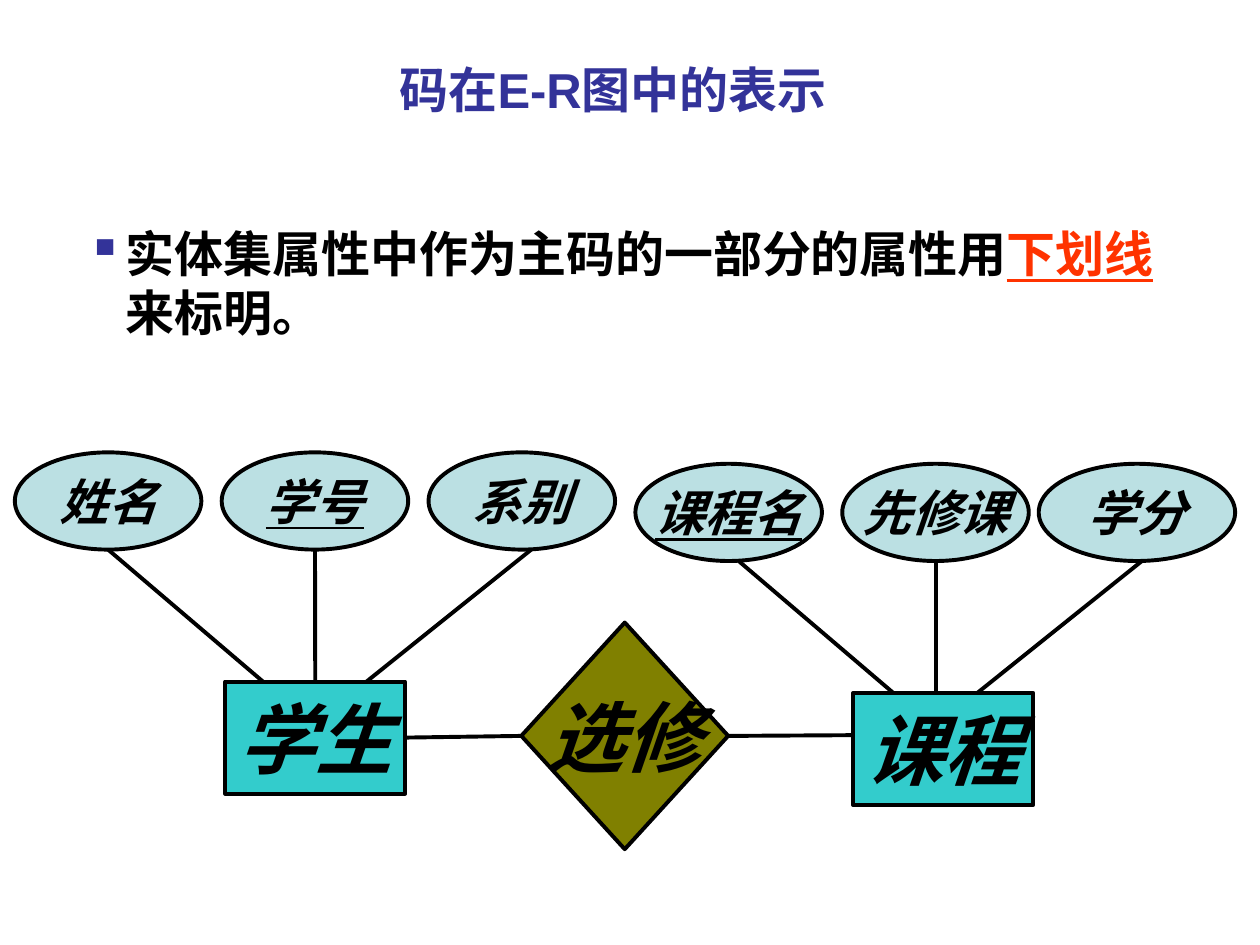
import pptx
import pptx.dml.color
import pptx.enum.shapes
import pptx.enum.text
import pptx.util
from lxml import etree
from pptx.oxml.ns import qn

Cm = pptx.util.Cm
Pt = pptx.util.Pt
RGBColor = pptx.dml.color.RGBColor
Shape = pptx.enum.shapes.MSO_SHAPE
Align = pptx.enum.text.PP_ALIGN

INDIGO = RGBColor(0x33, 0x33, 0x99)
BLACK = RGBColor(0, 0, 0)
RED = RGBColor(0xFF, 0x33, 0)
TEAL = RGBColor(0x33, 0xCC, 0xCC)
OLIVE = RGBColor(0x80, 0x80, 0)
PALE_BLUE = RGBColor(0xBB, 0xE0, 0xE3)

ATTRIBUTE_WIDTH, ATTRIBUTE_HEIGHT, ATTRIBUTE_PITCH = 3.76, 1.96, 4.17
ENTITY_WIDTH, ENTITY_HEIGHT, ENTITY_TOP = 3.63, 2.26, 4.62


def style_run(run, size, color, italic=False, underline=False):
    """Set the bold Arial look of a run."""
    run.font.name = "Arial"
    run.font.size = Pt(size)
    run.font.bold = True
    run.font.italic = italic
    run.font.underline = underline
    run.font.color.rgb = color


def add_text_frame(slide, left, top, width, height):
    """Add a wrapping text box and return its frame."""
    frame = slide.shapes.add_textbox(Cm(left), Cm(top), Cm(width), Cm(height)).text_frame
    frame.word_wrap = True
    return frame


def add_title(slide, left, top, width, height):
    """Place the centred slide title."""
    title = add_text_frame(slide, left, top, width, height).paragraphs[0]
    title.text = "码在E-R图中的表示"
    title.alignment = Align.CENTER
    style_run(title.runs[0], 28, INDIGO)


def add_rule(slide, left, top, width, height):
    """Place the bulleted rule about key attributes."""
    rule = add_text_frame(slide, left, top, width, height).paragraphs[0]
    properties = rule._p.get_or_add_pPr()
    properties.set("marL", str(Cm(2.06)))
    properties.set("indent", str(Cm(-0.79)))
    bullet_color = etree.SubElement(properties, qn("a:buClr"))
    etree.SubElement(bullet_color, qn("a:srgbClr"), val=str(INDIGO))
    etree.SubElement(properties, qn("a:buChar"), char="▪")
    for words, color, underline in (
        ("实体集属性中作为主码的一部分的属性用", BLACK, False),
        ("下划线", RED, True),
        ("来标明。", BLACK, False),
    ):
        run = rule.add_run()
        run.text = words
        style_run(run, 28, color, underline=underline)


def add_node(slide, kind, left, top, width, height, label, fill, size, is_key=False):
    """Add one labelled node of the diagram."""
    node = slide.shapes.add_shape(kind, Cm(left), Cm(top), Cm(width), Cm(height))
    node.shadow.inherit = False
    node.fill.solid()
    node.fill.fore_color.rgb = fill
    node.line.color.rgb = BLACK
    node.line.width = Pt(2.25)
    frame = node.text_frame
    frame.text = label
    frame.word_wrap = False
    frame.vertical_anchor = pptx.enum.text.MSO_ANCHOR.MIDDLE
    frame.paragraphs[0].alignment = Align.CENTER
    style_run(frame.paragraphs[0].runs[0], size, BLACK, italic=True, underline=is_key)
    return node


def add_link(slide, x1, y1, x2, y2):
    """Add one straight line of the diagram."""
    link = slide.shapes.add_connector(
        pptx.enum.shapes.MSO_CONNECTOR.STRAIGHT, Cm(x1), Cm(y1), Cm(x2), Cm(y2))
    link.line.color.rgb = BLACK
    link.line.width = Pt(2.25)
    etree.SubElement(link._element.spPr, qn("a:effectLst"))
    return link


def add_entity(slide, left, top, label, attributes, entity_left, inset=0):
    """Place an entity below its attributes and return its rectangle."""
    entity = add_node(slide, Shape.RECTANGLE, left + entity_left, top + ENTITY_TOP,
                      ENTITY_WIDTH, ENTITY_HEIGHT, label, TEAL, 44)
    for name, offset, width, is_key in attributes:
        add_node(slide, Shape.OVAL, left + offset, top, width, ATTRIBUTE_HEIGHT,
                 name, PALE_BLUE, 28, is_key)
    middle = ATTRIBUTE_PITCH + ATTRIBUTE_WIDTH / 2
    for start, end in (
        (1.88 + inset, 5 + inset),
        (middle, middle),
        (10.41 - inset, 7.09 - inset),
    ):
        link = add_link(slide, left + start, top + ATTRIBUTE_HEIGHT,
                        left + end, top + ENTITY_TOP)
        if abs(end - entity_left - ENTITY_WIDTH / 2) < 0.05:
            link.end_connect(entity, 0)
    return entity


def add_diagram(slide, left, top):
    """Place both entities and the relationship that joins them."""
    student = add_entity(slide, left, top, "学生", (
        ("姓名", 0, ATTRIBUTE_WIDTH, False),
        ("学号", ATTRIBUTE_PITCH, ATTRIBUTE_WIDTH, True),
        ("系别", 2 * ATTRIBUTE_PITCH, ATTRIBUTE_WIDTH, False),
    ), 4.24)
    add_entity(slide, left + 3 * ATTRIBUTE_PITCH, top + 0.23, "课程", (
        ("课程名", 0, ATTRIBUTE_WIDTH, True),
        ("先修课", ATTRIBUTE_PITCH, ATTRIBUTE_WIDTH, False),
        ("学分", 8.13, 3.96, False),
    ), 4.39, inset=0.2)
    enrolment = add_node(slide, Shape.DIAMOND, left + 10.21, top + 3.43, 4.17, 4.57,
                         "选修", OLIVE, 44)
    row = top + 5.7
    student_link = add_link(slide, left + 7.87, row, left + 10.21, row)
    student_link.begin_connect(student, 3)
    student_link.end_connect(enrolment, 1)
    course_link = add_link(slide, left + 14.38, row, left + 16.9, row)
    course_link.begin_connect(enrolment, 3)


def main():
    """Build and save the slide."""
    deck = pptx.Presentation()
    deck.slide_width, deck.slide_height = Cm(25.4), Cm(19.05)
    slide = deck.slides.add_slide(deck.slide_layouts[6])
    add_title(slide, 3.89, 1.07, 16.94, 1.45)
    add_rule(slide, 0.23, 4.39, 24.23, 2.59)
    add_diagram(slide, 0.3, 9.12)
    deck.save("out.pptx")


if __name__ == "__main__":
    main()
